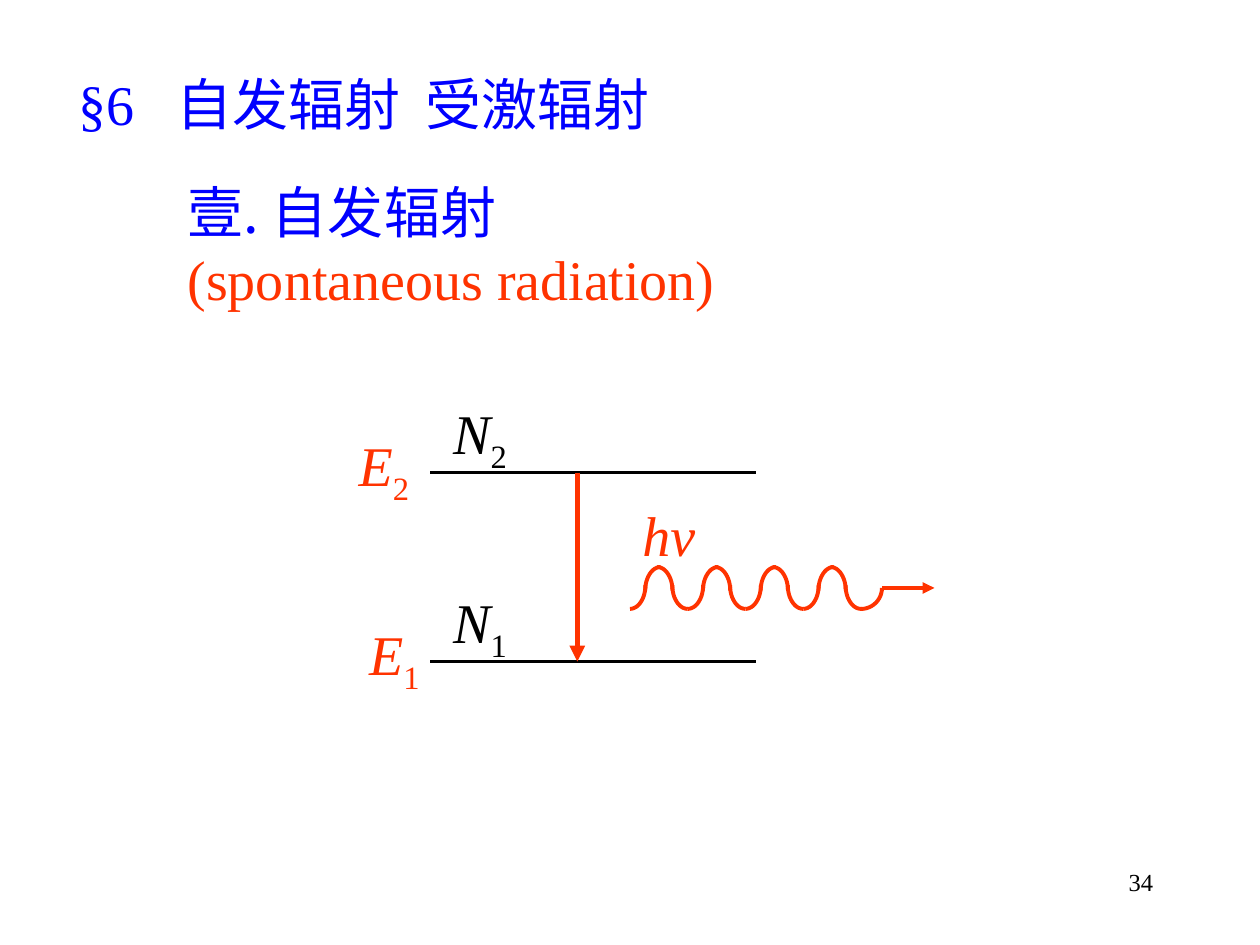
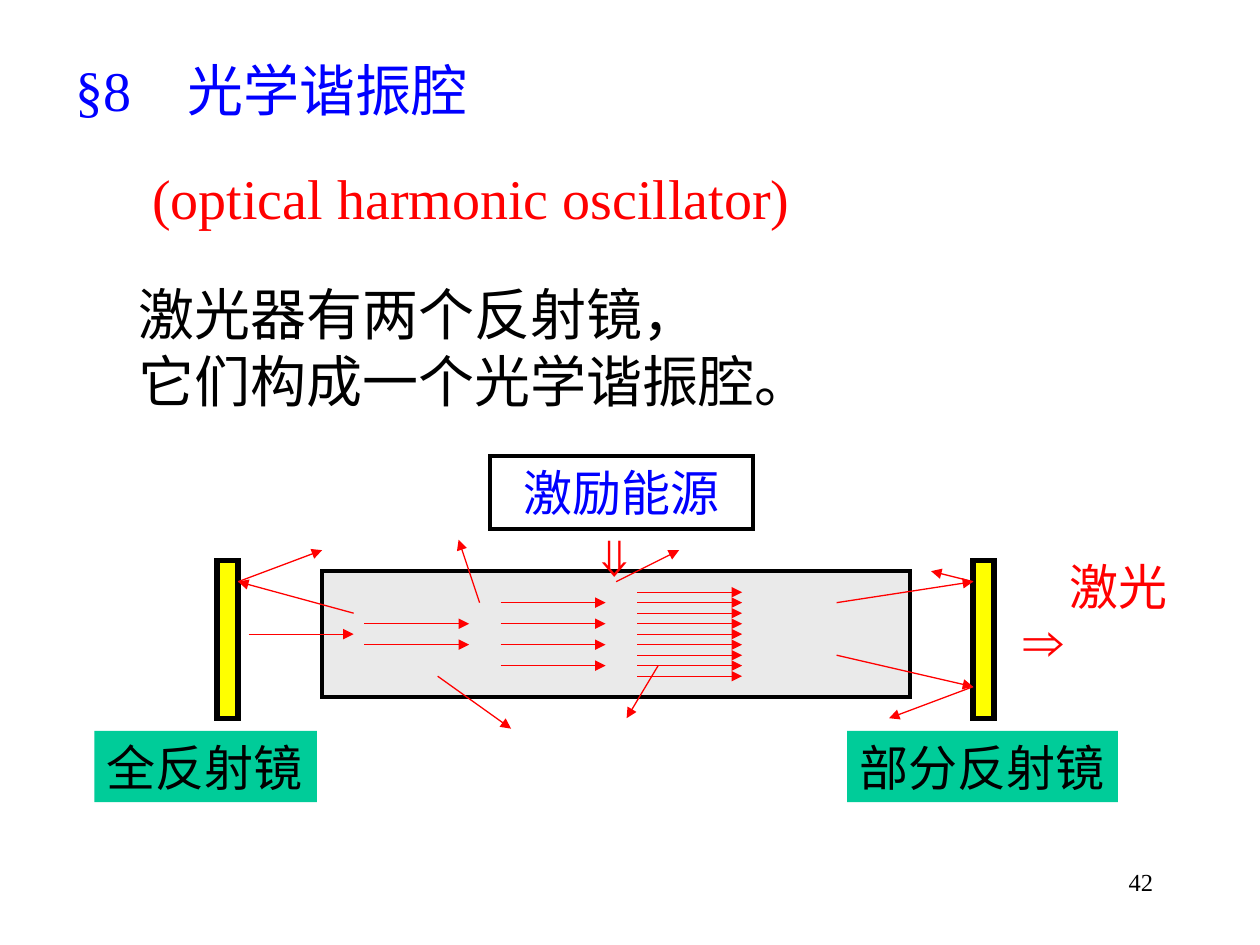
from dataclasses import dataclass
from math import cos, pi, sin

from lxml import etree
from pptx import Presentation
from pptx.dml.color import RGBColor
from pptx.enum.shapes import MSO_CONNECTOR, MSO_SHAPE
from pptx.enum.text import MSO_ANCHOR, MSO_AUTO_SIZE, PP_ALIGN
from pptx.oxml.ns import qn
from pptx.util import Inches, Pt

STRAIGHT, RECTANGLE = MSO_CONNECTOR.STRAIGHT, MSO_SHAPE.RECTANGLE
TOP, MIDDLE = MSO_ANCHOR.TOP, MSO_ANCHOR.MIDDLE
LEFT, CENTER, RIGHT = PP_ALIGN.LEFT, PP_ALIGN.CENTER, PP_ALIGN.RIGHT
GROW, FIXED = MSO_AUTO_SIZE.SHAPE_TO_FIT_TEXT, MSO_AUTO_SIZE.NONE

BLACK = RGBColor(0x00, 0x00, 0x00)
BLUE = RGBColor(0x00, 0x00, 0xFF)
RED = RGBColor(0xFF, 0x00, 0x00)
ORANGE = RGBColor(0xFF, 0x33, 0x00)
YELLOW = RGBColor(0xFF, 0xFF, 0x00)
GREEN = RGBColor(0x00, 0xCC, 0x99)
GRAY = RGBColor(0xEA, 0xEA, 0xEA)

FONT = "Times New Roman"
BIG, MEDIUM, SMALL = 32, 28, 14
CELL = 1 / 12  # inches per grid column and row
TITLE_ONLY = 5


@dataclass
class Grid:
    """A square grid of CELL steps whose corner lies at left, top (inches)."""
    left: float
    top: float

    def point(self, column, row):
        return Inches(self.left + column * CELL), Inches(self.top + row * CELL)

    def box(self, column, row, columns, rows):
        return (*self.point(column, row), Inches(columns * CELL), Inches(rows * CELL))


def inch_box(*lengths):
    return tuple(Inches(length) for length in lengths)


def write(frame, paragraphs, color, size=BIG, align=LEFT, **frame_format):
    """Fill a frame; a paragraph is a list of (text, font values) runs."""
    settings = {"word_wrap": True, "vertical_anchor": TOP, "auto_size": GROW}
    for name, value in {**settings, **frame_format}.items():
        setattr(frame, name, value)
    for index, runs in enumerate(paragraphs):
        para = frame.add_paragraph() if index else frame.paragraphs[0]
        para.alignment = align
        for text, values in runs:
            span = para.add_run()
            span.text = text
            font = {"name": FONT, "size": Pt(size), **values}
            for name, value in font.items():
                setattr(span.font, name, value)
            span.font.color.rgb = color


def add_text(page, box, lines, color, **values):
    """Add a text box with one plain paragraph per line."""
    frame = page.shapes.add_textbox(*box).text_frame
    write(frame, [[(line, {})] for line in lines], color, **values)
    return frame


def add_symbol(page, box, letter, index, color):
    """Add an italic letter with a lowered index."""
    frame = page.shapes.add_textbox(*box).text_frame
    write(frame, [[(letter, {"italic": True}), (index, {})]], color, word_wrap=False)
    frame.paragraphs[0].runs[1]._r.get_or_add_rPr().set("baseline", "-25000")


def add_rectangle(page, box, fill=None, line_width=None):
    shape = page.shapes.add_shape(RECTANGLE, *box)
    shape.shadow.inherit = False
    if fill is None:
        shape.fill.background()
    else:
        shape.fill.solid()
        shape.fill.fore_color.rgb = fill
    if line_width is None:
        shape.line.fill.background()
    else:
        shape.line.color.rgb = BLACK
        shape.line.width = Pt(line_width)
        etree.SubElement(shape.line._get_or_add_ln(), qn("a:miter"), lim="800000")
    return shape


def add_line(page, start, end, color, width, arrow=False):
    line = page.shapes.add_connector(STRAIGHT, *start, *end)
    line.line.color.rgb = color
    line.line.width = Pt(width)
    if arrow:
        etree.SubElement(line.line._get_or_add_ln(), qn("a:tailEnd"), type="triangle")
    etree.SubElement(line._element.spPr, qn("a:effectLst"))


def add_page(deck, title, title_box, number):
    page = deck.slides.add_slide(deck.slide_layouts[TITLE_ONLY])
    holder = page.shapes.title
    for name, value in zip(("left", "top", "width", "height"), title_box):
        setattr(holder, name, value)
    write(holder.text_frame, [[(title, {})]], BLUE, auto_size=FIXED)
    add_text(page, inch_box(7.17, 6.83, 2.08, 0.5), [number], BLACK,
             size=SMALL, align=RIGHT, auto_size=FIXED)
    return page


def set_tabs(para, *stops):
    tabs = etree.SubElement(para._p.get_or_add_pPr(), qn("a:tabLst"))
    for stop in stops:
        etree.SubElement(tabs, qn("a:tab"), pos=str(Inches(stop)), algn="l")


def add_numbered_heading(page, box, heading, translation):
    """Add a heading with a Chinese numeral and its translation below."""
    first, second = add_text(page, box, [heading, translation], BLUE).paragraphs
    second.runs[0].font.color.rgb = ORANGE
    for para in (first, second):
        properties = para._p.get_or_add_pPr()
        properties.set("marL", str(Inches(1.67)))
        properties.set("indent", str(Inches(-0.67)))
    etree.SubElement(first._p.pPr, qn("a:buFont"), typeface=FONT)
    etree.SubElement(first._p.pPr, qn("a:buAutoNum"), type="ea1ChsPeriod")


def add_quarter_arc(page, grid, center, radii):
    """Draw the arc from above or below the centre to its side, by the signs of radii."""
    parts = 12
    angles = [pi / 2 * part / parts for part in range(parts + 1)]
    points = [grid.point(center[0] + radii[0] * sin(angle),
                         center[1] + radii[1] * cos(angle)) for angle in angles]
    builder = page.shapes.build_freeform(*points[0])
    builder.add_line_segments(points[1:], close=False)
    arc = builder.convert_to_shape()
    arc.shadow.inherit = False
    arc.fill.background()
    arc.line.color.rgb = ORANGE
    arc.line.width = Pt(2.25)


def draw_photon(page, grid):
    """Draw a wave of quarter arcs that ends in an arrow."""
    period, humps, middle, width, height = 5.5, 4, 2, 1.47, 2.25
    for hump in range(humps):
        start = hump * period
        for offset, side in ((0, 1), (period, -1)):
            add_quarter_arc(page, grid, (start + offset, 1.75), (side * width, height))
        for offset, side in ((2.92, -1), (2.58, 1)):
            add_quarter_arc(page, grid, (start + offset, height), (side * width, -height))
    end = humps * period
    add_quarter_arc(page, grid, (end, middle), (2, 2))
    add_line(page, grid.point(end + 2, middle), grid.point(end + 7, middle),
             ORANGE, 2.25, arrow=True)


def draw_energy_levels(page, grid):
    upper, lower, width = 0, 18, 31
    for index, row, shift in (("2", upper, -8), ("1", lower, -7)):
        add_line(page, grid.point(0, row), grid.point(width, row), BLACK, 2.25)
        add_symbol(page, grid.box(shift, row - 4.6, 7.7, 7.5), "E", index, ORANGE)
        add_symbol(page, grid.box(1, row - 7.6, 8, 7.5), "N", index, BLACK)
    add_line(page, grid.point(14, upper), grid.point(14, lower), ORANGE, 3, arrow=True)


def draw_resonator(page, grid):
    """Draw mirrors, tube, rays and labels; column 0 is the left mirror's face."""
    for column in (-2, 70):
        add_rectangle(page, grid.box(column, 3, 2, 15), YELLOW, 3)
    add_rectangle(page, grid.box(8, 4, 56, 12), GRAY, 2.25)

    ray_rows = {1: [10], 12: [9, 11], 25: range(7, 14, 2), 38: range(6, 15)}
    rays = [(column, row, column + 10, row)
            for column, rows in ray_rows.items() for row in rows]
    rays += [(11, 8, 0, 5), (0, 5, 8, 2), (23, 7, 21, 1), (19, 14, 26, 19),
             (36, 5, 42, 2), (40, 13, 37, 18), (57, 7, 70, 5), (70, 5, 66, 4),
             (57, 12, 70, 15), (70, 15, 62, 18)]
    for ray in rays:
        add_line(page, grid.point(*ray[:2]), grid.point(*ray[2:]), RED, 0.75, arrow=True)

    source = add_rectangle(page, grid.box(24, -7, 25, 7), line_width=2.25)
    write(source.text_frame, [[("激励能源", {})]], BLUE, size=MEDIUM, align=CENTER,
          vertical_anchor=MIDDLE, auto_size=FIXED)
    for text, column, columns in (("全反射镜", -13.7, 21.2), ("部分反射镜", 58, 25.8)):
        mirror_name = add_rectangle(page, grid.box(column, 19.2, columns, 6.8), GREEN)
        write(mirror_name.text_frame, [[(text, {})]], BLACK, size=MEDIUM,
              vertical_anchor=MIDDLE, word_wrap=False)
    for text, size, place in (("⇓", BIG, (32.8, -1.3, 5.6, 7.5)),
                              ("⇒", BIG, (73.6, 6.7, 7.7, 7.5)),
                              ("激光", MEDIUM, (78, 2, 11.8, 6.8))):
        add_text(page, grid.box(*place), [text], RED, size=size,
                 vertical_anchor=MIDDLE, word_wrap=False)


def build_radiation_page(deck):
    page = add_page(deck, "§6\t自发辐射\t受激辐射", inch_box(0.52, 0.5, 4.98, 0.63), "34")
    set_tabs(page.shapes.title.text_frame.paragraphs[0], 0.78, 2.76)
    add_numbered_heading(page, inch_box(0.39, 1.36, 5.91, 1.17),
                         "自发辐射", "(spontaneous radiation)")
    draw_energy_levels(page, Grid(3.415, 3.75))
    draw_photon(page, Grid(5, 4.5))
    photon = add_text(page, inch_box(5, 3.92, 0.68, 0.63), ["hν"], ORANGE, word_wrap=False)
    photon.paragraphs[0].runs[0].font.italic = True


def build_resonator_page(deck):
    page = add_page(deck, "§8　光学谐振腔", inch_box(0.5, 0.39, 6.25, 0.63), "42")
    add_text(page, inch_box(1.11, 1.25, 5.58, 0.63), ["(optical harmonic oscillator)"],
             RED, word_wrap=False)
    add_text(page, inch_box(1, 2.17, 6.5, 1.17),
             ["激光器有两个反射镜，", "它们构成一个光学谐振腔。"], BLACK)
    draw_resonator(page, Grid(1.89, 4.2))


def main():
    deck = Presentation()
    deck.slide_width, deck.slide_height = Inches(10), Inches(7.5)
    build_radiation_page(deck)
    build_resonator_page(deck)
    deck.save("out.pptx")


if __name__ == "__main__":
    main()
